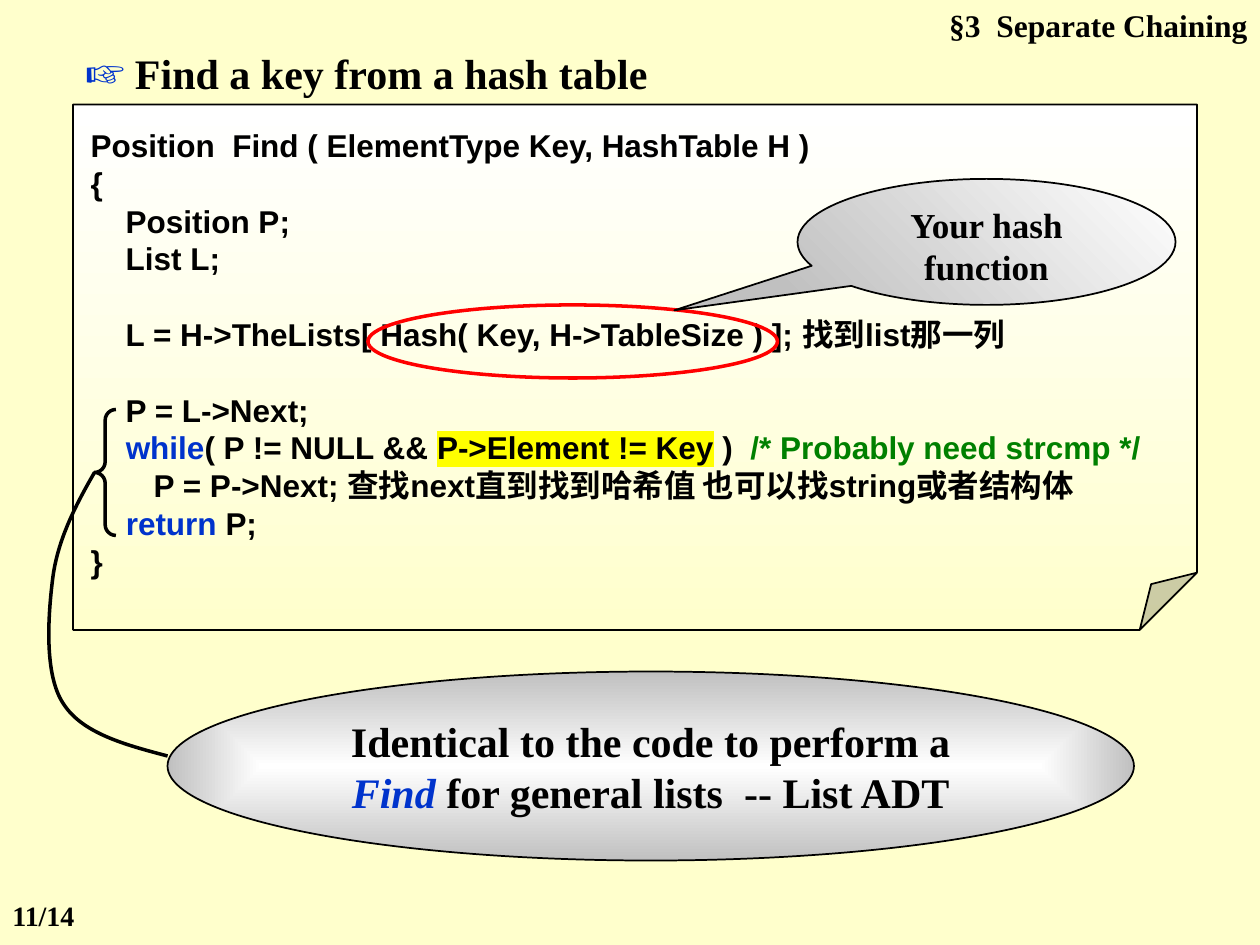
import pptx
import pptx.dml.color
import pptx.enum.shapes
import pptx.enum.text
import pptx.oxml
import pptx.oxml.ns
import pptx.util
from pptx.util import Inches

RGBColor = pptx.dml.color.RGBColor
SHAPE = pptx.enum.shapes.MSO_SHAPE
ALIGN = pptx.enum.text.PP_ALIGN
ANCHOR = pptx.enum.text.MSO_ANCHOR
qn = pptx.oxml.ns.qn

CREAM = RGBColor(0xFF, 0xFF, 0xCC)
WHITE = RGBColor(0xFF, 0xFF, 0xFF)
SILVER = RGBColor(0xC0, 0xC0, 0xC0)
BLACK = RGBColor(0, 0, 0)
BLUE = RGBColor(0x00, 0x33, 0xCC)
RED = RGBColor(0xFF, 0, 0)
GREEN = RGBColor(0, 0x80, 0)

SERIF, SANS = "Times New Roman", "Arial"
LINE_PITCH = pptx.util.Pt(21.6)

# Each code line is a list of (text, colour, highlighted); an empty one is a gap
CODE = [
    [("Position  Find ( ElementType Key, HashTable H )", BLACK, False)],
    [("{", BLACK, False)],
    [("    Position P;", BLACK, False)],
    [("    List L;", BLACK, False)],
    [],
    [("    L = H->TheLists[ Hash( Key, H->TableSize ) ]; 找到list那一列", BLACK, False)],
    [],
    [("    P = L->Next;", BLACK, False)],
    [("    ", BLACK, False), ("while", BLUE, False), ("( P != NULL && ", BLACK, False),
     ("P->Element != Key", BLACK, True), (" )  ", BLACK, False),
     ("/* Probably need strcmp */", GREEN, False)],
    [("\tP = P->Next; 查找next直到找到哈希值 也可以找string或者结构体", BLACK, False)],
    [("    ", BLACK, False), ("return", BLUE, False), (" P;", BLACK, False)],
    [("}", BLACK, False)],
]


def make_element(markup):
    """Parse one drawing element, given as its tag content without brackets."""
    return pptx.oxml.parse_xml(markup % pptx.oxml.ns.nsdecls("a"))


def style(paragraph, size, face=SERIF, align=ALIGN.LEFT):
    paragraph.alignment = align
    font = paragraph.font
    font.size, font.name, font.bold = pptx.util.Pt(size), face, True
    font.color.rgb = BLACK


def add_run(paragraph, text, color=BLACK):
    run = paragraph.add_run()
    run.text = text
    run.font.color.rgb = color
    return run


def highlight(run):
    run.font._element.append(make_element(
        '<a:highlight %s><a:srgbClr val="FFFF00"/></a:highlight>'))


def add_label(slide, box, size, align=ALIGN.LEFT):
    frame = slide.shapes.add_textbox(*map(Inches, box)).text_frame
    frame.word_wrap = True
    style(frame.paragraphs[0], size, align=align)
    return frame.paragraphs[0]


def outline(shape, color, width):
    shape.shadow.inherit = False
    shape.fill.background()
    shape.line.color.rgb = color
    shape.line.width = pptx.util.Pt(width)


def add_outlined(slide, preset, box, color=BLACK, width=1, adjustments=()):
    shape = slide.shapes.add_shape(preset, *map(Inches, box))
    for index, value in enumerate(adjustments):
        shape.adjustments[index] = value
    outline(shape, color, width)
    return shape


def shade(shape, first, last, angle=0):
    shape.fill.gradient()
    shape.fill.gradient_angle = angle
    for stop, color in zip(shape.fill.gradient_stops, (first, last)):
        stop.color.rgb = color


def shade_from_centre(shape, inner, outer):
    shade(shape, inner, outer)
    linear = shape._element.spPr.find(qn("a:gradFill")).find(qn("a:lin"))
    linear.getparent().replace(linear, make_element(
        '<a:path %s path="shape"><a:fillToRect l="50000" t="50000" r="50000" b="50000"/></a:path>'))


def add_curve(slide, points, width):
    """Draw cubic curves through a start point and triples of control points."""
    start, *rest = [(Inches(x), Inches(y)) for x, y in points]
    builder = slide.shapes.build_freeform(*start)
    builder.add_line_segments(rest, close=False)
    curve = builder.convert_to_shape()
    outline(curve, BLACK, width)
    segments = list(curve._element.iter(qn("a:lnTo")))
    for i in range(0, len(segments), 3):
        bezier = make_element("<a:cubicBezTo %s/>")
        segments[i].addprevious(bezier)
        for segment in segments[i:i + 3]:
            bezier.append(segment[0])
            segment.getparent().remove(segment)


def add_headings(slide):
    section = add_label(slide, (7.17, 0, 2.83, 0.4), 18, ALIGN.RIGHT)
    add_run(section, "§3  Separate Chaining")
    title = add_label(slide, (0.58, 0.27, 5.08, 0.57), 24)
    add_run(title, "☞", BLUE).font.size = pptx.util.Pt(28)
    add_run(title, " Find a key from a hash table")


def add_code_note(slide, box):
    note = add_outlined(slide, SHAPE.FOLDED_CORNER, box)
    # Size of the folded corner, which has no entry in shape.adjustments
    geometry = note._element.spPr.find(qn("a:prstGeom"))
    geometry.find(qn("a:avLst")).append(make_element('<a:gd %s name="adj" fmla="val 10900"/>'))
    shade(note, WHITE, CREAM, 270)
    frame = note.text_frame
    frame.word_wrap = True
    frame.vertical_anchor = ANCHOR.TOP
    frame.margin_left, frame.margin_top = Inches(0.14), Inches(0.17)
    paragraph, gap = frame.paragraphs[0], False
    for number, line in enumerate(CODE):
        if not line:
            gap = True
            continue
        if number:
            paragraph = frame.add_paragraph()
        style(paragraph, 18, SANS)
        paragraph.line_spacing = LINE_PITCH
        if gap:
            paragraph.space_before = LINE_PITCH
        gap = False
        for text, color, marked in line:
            run = add_run(paragraph, text, color)
            if marked:
                highlight(run)


def add_hash_callout(slide, box, ring_box):
    # Red ring around the hash call
    add_outlined(slide, SHAPE.OVAL, ring_box, RED, 2)
    # Speech balloon pointing at the ring
    balloon = add_outlined(slide, SHAPE.OVAL_CALLOUT, box, adjustments=[-0.826, 0.543])
    shade(balloon, SILVER, WHITE, 45)
    frame = balloon.text_frame
    frame.word_wrap = True
    frame.vertical_anchor = ANCHOR.TOP
    style(frame.paragraphs[0], 20, align=ALIGN.CENTER)
    add_run(frame.paragraphs[0], "Your hash function")


def add_list_remark(slide, box, brace_box):
    # Brace over the loop, and the curve leading to the remark
    add_outlined(slide, SHAPE.LEFT_BRACE, brace_box, width=2, adjustments=[0.5, 0.5])
    add_curve(slide, [(0.75, 3.75), (0.6, 4.01), (0.46, 4.28), (0.42, 4.58),
                      (0.38, 4.89), (0.35, 5.35), (0.5, 5.58),
                      (0.65, 5.82), (0.99, 5.91), (1.33, 6)], 2)
    # Remark
    remark = add_outlined(slide, SHAPE.OVAL, box)
    shade_from_centre(remark, WHITE, SILVER)
    frame = remark.text_frame
    frame.word_wrap = True
    frame.vertical_anchor = ANCHOR.MIDDLE
    sentence = frame.paragraphs[0]
    style(sentence, 24, align=ALIGN.CENTER)
    add_run(sentence, "Identical to the code to perform a ")
    add_run(sentence, "Find", BLUE).font.italic = True
    add_run(sentence, " for general lists  -- List ADT")


def main():
    deck = pptx.Presentation()
    deck.slide_width, deck.slide_height = Inches(10), Inches(7.5)
    slide = deck.slides.add_slide(deck.slide_layouts[6])
    slide.background.fill.solid()
    slide.background.fill.fore_color.rgb = CREAM
    add_headings(slide)
    add_code_note(slide, (0.58, 0.83, 8.92, 4.17))
    add_hash_callout(slide, (6.33, 1.42, 3, 1), (2.92, 2.42, 3.25, 0.58))
    add_list_remark(slide, (1.33, 5.33, 7.67, 1.5), (0.75, 3.25, 0.17, 1))
    # Page number
    add_run(add_label(slide, (0, 7.08, 1.08, 0.37), 16), "11/14")
    deck.save("out.pptx")


if __name__ == "__main__":
    main()
